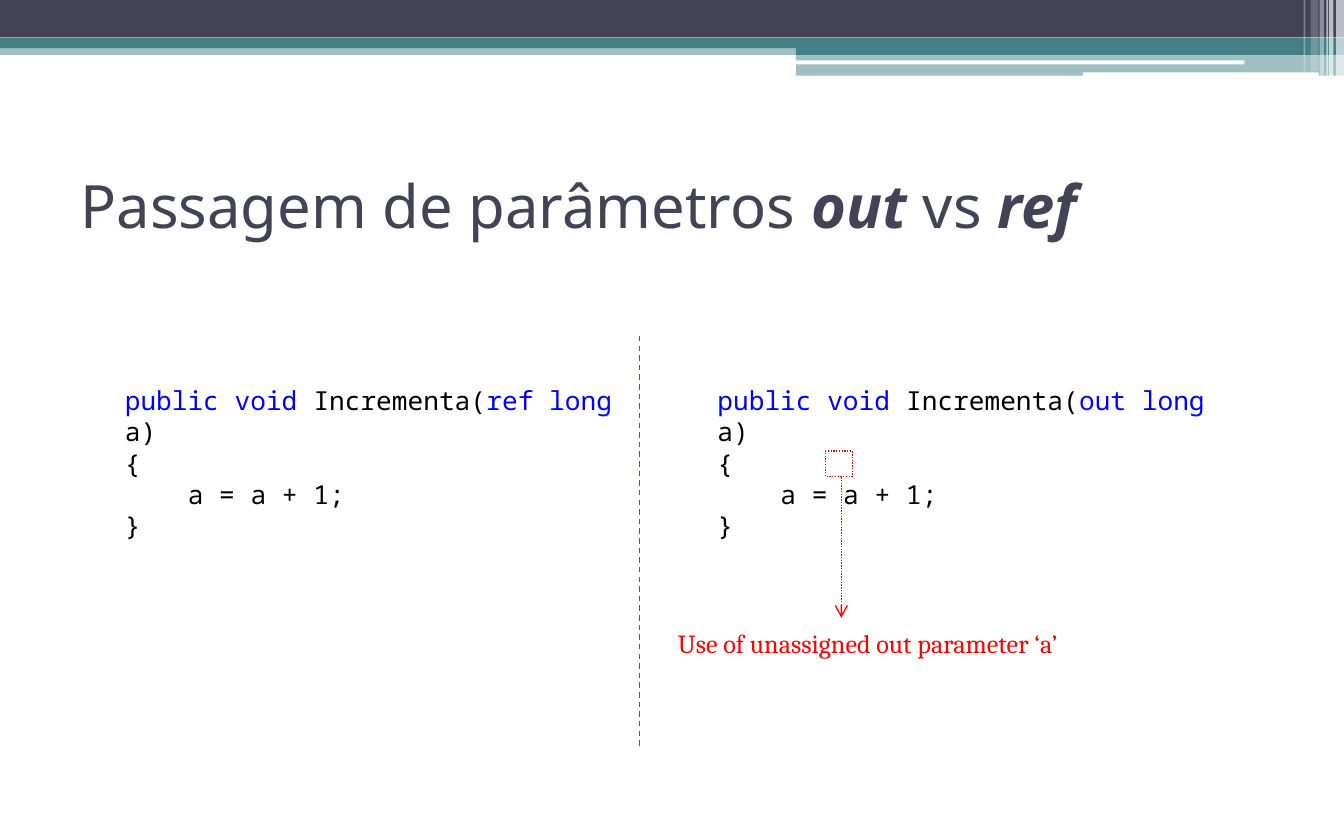
from dataclasses import dataclass

from lxml import etree
from pptx import Presentation
from pptx import util as u
from pptx.dml.color import RGBColor
from pptx.enum import dml, shapes, text
from pptx.oxml.ns import qn

INK, TEAL, WHITE, BLACK = "424456", "438086", "FFFFFF", "000000"
RED, BLUE, VIOLET = "FF0000", "0000FF", "53548A"
RECT, ROUND = shapes.MSO_SHAPE.RECTANGLE, shapes.MSO_SHAPE.ROUNDED_RECTANGLE
MONO = "Noto Sans Mono"


@dataclass
class Bar:
    """A filled block of the header, in centimetres."""
    x: float
    y: float
    w: float
    h: float
    color: str
    alpha: int = 100
    kind: int = RECT


@dataclass
class Run:
    """A piece of text with its own look."""
    text: str
    color: str = ""
    strong: bool = False


HEADER = [
    Bar(0, 0.84, 25.4, 0.2, TEAL, 50),
    Bar(0, 0, 25.4, 0.71, INK),
    Bar(0, 0.71, 25.4, 0.2, TEAL),
    Bar(15.04, 0.84, 10.36, 0.2, TEAL),
    Bar(15.04, 1.02, 10.36, 0.41, TEAL, 50),
    Bar(15.01, 1.14, 8.51, 0.08, WHITE, kind=ROUND),
    Bar(20.47, 1.37, 4.45, 0.08, WHITE, kind=ROUND),
] + [Bar(x, 0, w, h, WHITE, alpha) for x, w, h, alpha in (
    (25.25, 0.15, 1.45, 65), (25.12, 0.08, 1.45, 65),
    (25.07, 0.03, 1.45, 60), (24.94, 0.08, 1.45, 40),
    (24.77, 0.15, 1.35, 20), (24.64, 0.03, 1.35, 30))]


def paint(fmt, color: str) -> None:
    """Give a fill a solid colour."""
    fmt.solid()
    fmt.fore_color.rgb = RGBColor.from_string(color)


def style_line(line, color: str, dash) -> None:
    """Make a thin dashed outline."""
    paint(line.fill, color)
    line.width = u.Pt(0.75)
    line.dash_style = dash


def add_bar(s, bar: Bar) -> None:
    """Draw one header block."""
    sp = s.shapes.add_shape(bar.kind, *map(u.Cm, (bar.x, bar.y, bar.w, bar.h)))
    sp.shadow.inherit = False
    sp.line.fill.background()
    paint(sp.fill, bar.color)
    if bar.alpha < 100:
        clr = sp.fill._xPr.find(f"{qn('a:solidFill')}/{qn('a:srgbClr')}")
        etree.SubElement(clr, qn("a:alpha")).set("val", str(bar.alpha * 1000))


def add_line(s, x: float, top: float, bottom: float, color: str, dash, arrow: bool = False) -> None:
    """Draw a vertical dashed line, with an arrowhead at the bottom if asked."""
    c = s.shapes.add_connector(shapes.MSO_CONNECTOR.STRAIGHT, *map(u.Cm, (x, top, x, bottom)))
    style_line(c.line, color, dash)
    if arrow:
        etree.SubElement(c.line._get_or_add_ln(), qn("a:tailEnd")).set("type", "arrow")
    etree.SubElement(c._element.spPr, qn("a:effectLst"))


def add_text(s, box: tuple, paragraphs: list, size: int, font: str, color: str, wrap: bool = True):
    """Add a text box from lists of runs and return its text frame."""
    tf = s.shapes.add_textbox(*map(u.Cm, box)).text_frame
    tf.word_wrap = wrap
    for i, runs in enumerate(paragraphs):
        p = tf.paragraphs[0] if i == 0 else tf.add_paragraph()
        p.font.size, p.font.name = u.Pt(size), font
        p.font.color.rgb = RGBColor.from_string(color)
        for run in runs:
            r = p.add_run()
            r.text = run.text
            if run.color:
                r.font.color.rgb = RGBColor.from_string(run.color)
            if run.strong:
                r.font.bold = r.font.italic = True
    return tf


def add_method(s, x: float, modifier: str) -> None:
    """Add the listing of the method with the given parameter modifier."""
    signature = [Run("public void ", BLUE), Run("Incrementa("),
                 Run(f"{modifier} long", BLUE), Run(" a)")]
    body = [[Run(line)] for line in ("{", "a = a + 1;", "}")]
    tf = add_text(s, (x, 7.14, 9.91, 2.64), [signature] + body, 14, MONO, BLACK)
    tf.paragraphs[2]._p.get_or_add_pPr().set("marL", str(u.Cm(1.19)))


def main() -> None:
    """Build the slide and save it."""
    prs = Presentation()
    prs.slide_width, prs.slide_height = u.Cm(25.4), u.Cm(15.88)
    s = prs.slides.add_slide(prs.slide_layouts[6])
    for bar in HEADER:
        add_bar(s, bar)

    for x, modifier in ((2.11, "ref"), (13.31, "out")):
        add_method(s, x, modifier)

    title = [Run("Passagem de parâmetros "), Run("out ", strong=True),
             Run("vs "), Run("ref", strong=True)]
    tf = add_text(s, (1.27, 2.64, 22.86, 2.46), [title], 32, "Noto Sans", INK)
    tf.vertical_anchor = text.MSO_ANCHOR.MIDDLE

    dots = dml.MSO_LINE.ROUND_DOT
    add_line(s, 15.9, 9.02, 11.68, RED, dots, arrow=True)
    tf = add_text(s, (12.22, 11.73, 8.48, 0.86),
                  [[Run("Use of unassigned out parameter ‘a’ ")]], 14, "Cambria", RED, wrap=False)
    tf.paragraphs[0].alignment = text.PP_ALIGN.CENTER

    marker = s.shapes.add_shape(RECT, *map(u.Cm, (15.6, 8.53, 0.51, 0.48)))
    marker.shadow.inherit = False
    marker.fill.background()
    style_line(marker.line, RED, dots)

    add_line(s, 12.09, 6.35, 14.15, VIOLET, dml.MSO_LINE.DASH)
    prs.save("out.pptx")


main()
